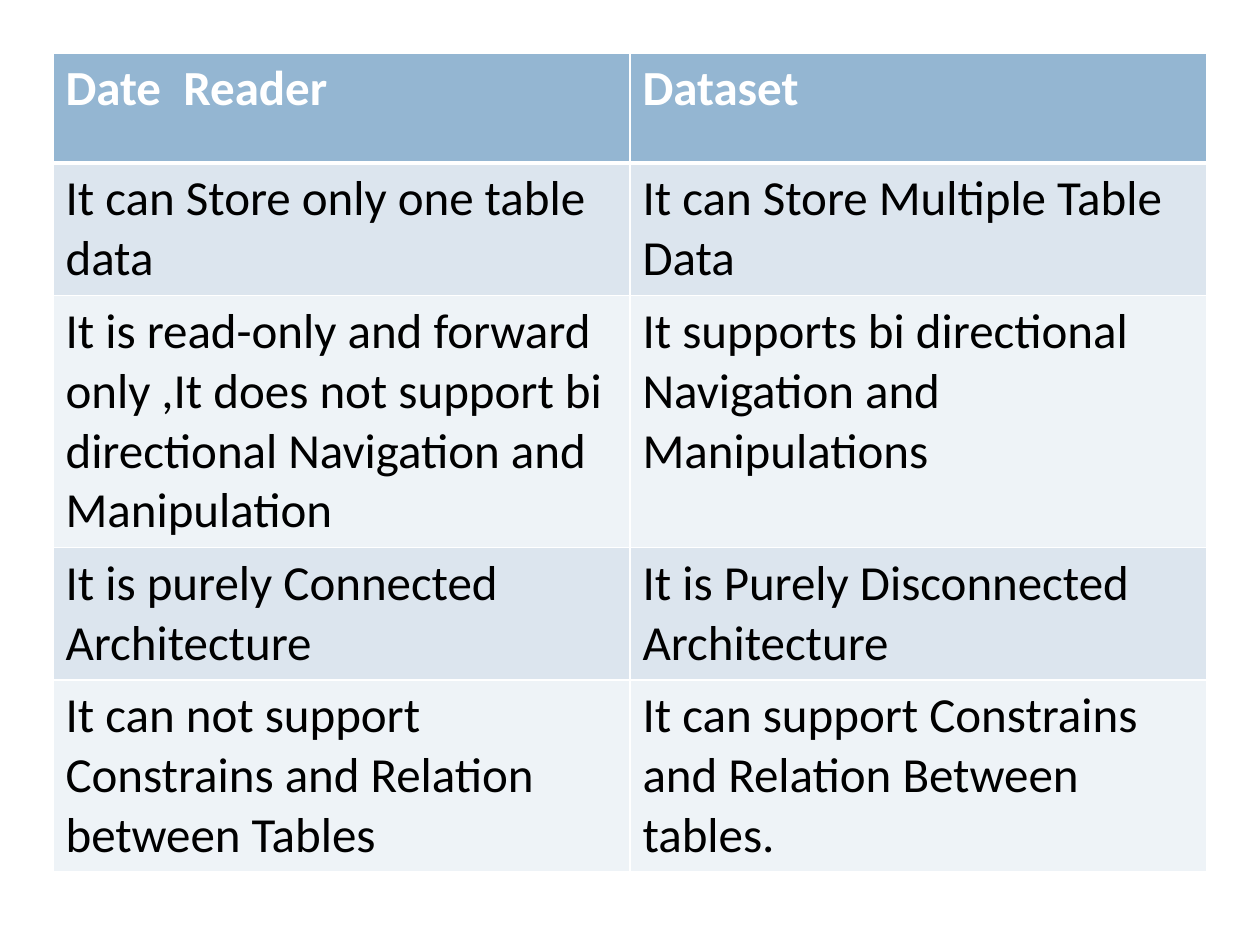
from lxml.etree import SubElement
from pptx import Presentation
from pptx.dml.color import RGBColor
from pptx.oxml.ns import qn
from pptx.util import Emu, Pt

SCALE = 914400 // 126


def color(value):
    return RGBColor.from_string(value)


def add_border(cell, side, points):
    properties = cell._tc.get_or_add_tcPr()
    line = SubElement(properties, qn("a:ln" + side), w=str(Pt(points)))
    fill = SubElement(line, qn("a:solidFill"))
    SubElement(fill, qn("a:srgbClr"), val="FFFFFF")


comparison = [
    ("Date  Reader", "Dataset"),
    ("It can Store only one table data", "It can Store Multiple Table Data"),
    (
        "It is read-only and forward only ,It does not support bi directional Navigation and Manipulation",
        "It supports bi directional Navigation and Manipulations",
    ),
    ("It is purely Connected Architecture", "It is Purely Disconnected Architecture"),
    (
        "It can not support Constrains and Relation between Tables",
        "It can support Constrains and Relation Between tables.",
    ),
]

deck = Presentation()
deck.slide_width = Emu(1260 * SCALE)
deck.slide_height = Emu(945 * SCALE)
page = deck.slides.add_slide(deck.slide_layouts[6])

left, top, width, height = [Emu(pixels * SCALE) for pixels in (53, 53, 1154, 806)]
frame = page.shapes.add_table(len(comparison), 2, left, top, width, height)
table = frame.table

for row_index, texts in enumerate(comparison):
    table.rows[row_index].height = Emu(110 * SCALE)
    header = row_index == 0
    band = "94B6D2" if header else ("DCE5EE" if row_index % 2 else "EEF3F7")
    for column_index, text in enumerate(texts):
        cell = table.cell(row_index, column_index)
        top_width = 3 if row_index == 1 else 1
        bottom_width = 3 if header else 1
        for side, points in zip("LRTB", (1, 1, top_width, bottom_width)):
            add_border(cell, side, points)
        cell.fill.solid()
        cell.fill.fore_color.rgb = color(band)
        cell.text_frame.text = text
        font = cell.text_frame.paragraphs[0].runs[0].font
        font.name = "Calibri"
        font.size = Pt(28)
        font.bold = header
        font.color.rgb = color("FFFFFF" if header else "000000")

frame.height = height
deck.save("out.pptx")
